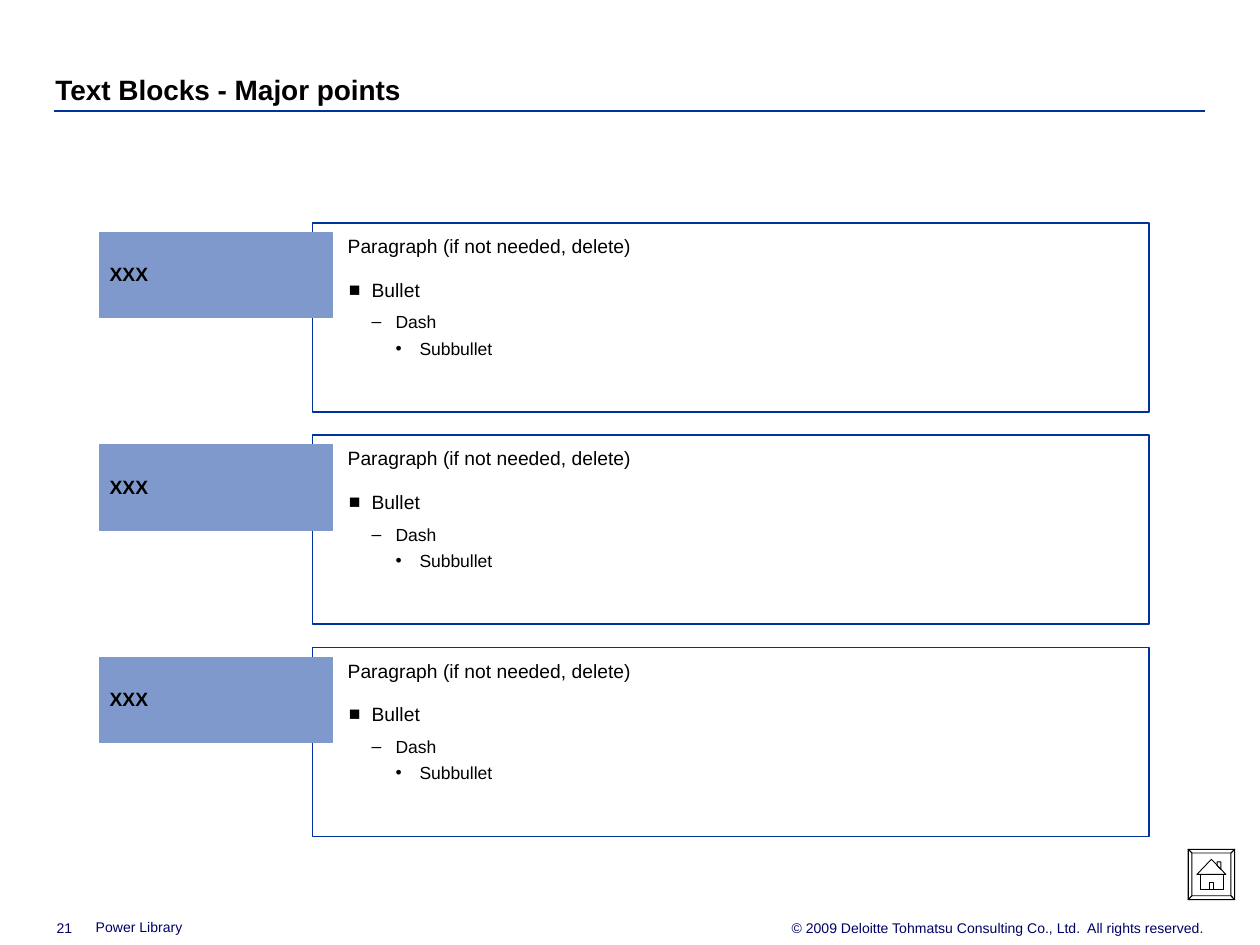
from dataclasses import dataclass

from lxml import etree
from pptx import Presentation
from pptx.dml.color import RGBColor
from pptx.enum.shapes import MSO_CONNECTOR, MSO_SHAPE
from pptx.enum.text import MSO_ANCHOR, MSO_AUTO_SIZE, PP_ALIGN
from pptx.oxml.ns import qn
from pptx.util import Inches, Pt

LEFT, RIGHT = PP_ALIGN.LEFT, PP_ALIGN.RIGHT
TOP, MIDDLE, BOTTOM = MSO_ANCHOR.TOP, MSO_ANCHOR.MIDDLE, MSO_ANCHOR.BOTTOM
RECTANGLE, STRAIGHT = MSO_SHAPE.RECTANGLE, MSO_CONNECTOR.STRAIGHT
FIXED = MSO_AUTO_SIZE.NONE


@dataclass(frozen=True)
class Theme:
    font: str = "Arial"
    ink: str = "000000"
    paper: str = "FFFFFF"
    rule: str = "003399"
    label: str = "8099CC"
    footer: str = "000066"
    title_size: float = 16
    body_size: float = 11
    detail_size: float = 10
    footer_size: float = 8


@dataclass(frozen=True)
class Level:
    text: str
    size: float
    before: float = 0
    bullet: str = ""
    margin: float = 0
    hanging: float = 0


class SlideBuilder:
    """Draws styled elements on one slide, placed on a grid of 100 columns and 75 rows."""

    def __init__(self, deck, theme):
        self.theme = theme
        self.column = deck.slide_width / 100
        self.row = deck.slide_height / 75
        self.slide = deck.slides.add_slide(deck.slide_layouts[5])
        self.shapes = self.slide.shapes

    def place(self, left, top, width, height):
        return (round(left * self.column), round(top * self.row),
                round(width * self.column), round(height * self.row))

    def frame(self, shape, anchor, insets=(0, 0, 0, 0)):
        frame = shape.text_frame
        frame.word_wrap = True
        frame.auto_size = FIXED
        frame.vertical_anchor = anchor
        (frame.margin_left, frame.margin_top,
         frame.margin_right, frame.margin_bottom) = map(Inches, insets)
        return frame

    def add_text(self, paragraph, text, size, color, bold=False, align=LEFT, spacing=1.0, before=0):
        paragraph.alignment = align
        paragraph.line_spacing = spacing
        paragraph.space_before = Pt(before)
        run = paragraph.add_run()
        run.text = text
        run.font.name = self.theme.font
        run.font.size = Pt(size)
        run.font.bold = bold
        run.font.color.rgb = RGBColor.from_string(color)

    def bullet(self, paragraph, level):
        properties = paragraph._p.get_or_add_pPr()
        properties.set("marL", str(Inches(level.margin)))
        properties.set("indent", str(-Inches(level.hanging)))
        color = etree.SubElement(properties, qn("a:buClr"))
        etree.SubElement(color, qn("a:srgbClr"), val=self.theme.ink)
        etree.SubElement(properties, qn("a:buFont"), typeface=self.theme.font)
        etree.SubElement(properties, qn("a:buChar"), char=level.bullet)

    def title(self, text, *cell):
        title = self.shapes.title
        title.left, title.top, title.width, title.height = self.place(*cell)
        self.add_text(self.frame(title, BOTTOM).paragraphs[0], text, self.theme.title_size,
                      self.theme.ink, bold=True, spacing=1.06)

    def rule(self, left, right, row):
        x, y, width, _ = self.place(left, row, right - left, 0)
        rule = self.shapes.add_connector(STRAIGHT, x, y, x + width, y)
        rule.line.color.rgb = RGBColor.from_string(self.theme.rule)
        rule.line.width = Pt(1.5)
        etree.SubElement(rule._element.spPr, qn("a:effectLst"))

    def footer(self, text, *cell, align=LEFT, anchor=BOTTOM):
        footer = self.shapes.add_textbox(*self.place(*cell))
        self.add_text(self.frame(footer, anchor).paragraphs[0], text, self.theme.footer_size,
                      self.theme.footer, align=align)

    def rectangle(self, cell, fill, line):
        rectangle = self.shapes.add_shape(RECTANGLE, *self.place(*cell))
        rectangle.shadow.inherit = False
        rectangle.fill.solid()
        rectangle.fill.fore_color.rgb = RGBColor.from_string(fill)
        rectangle.line.color.rgb = RGBColor.from_string(line)
        rectangle.line.width = Pt(1)
        return rectangle

    def details(self, levels, *cell):
        panel = self.rectangle(cell, self.theme.paper, self.theme.rule)
        frame = self.frame(panel, TOP, (0.28, 0.08, 0.08, 0.08))
        for depth, level in enumerate(levels):
            paragraph = frame.add_paragraph() if depth else frame.paragraphs[0]
            paragraph.level = depth
            if level.bullet:
                self.bullet(paragraph, level)
            self.add_text(paragraph, level.text, level.size, self.theme.ink,
                          spacing=1.06, before=level.before)

    def label(self, text, *cell):
        tab = self.rectangle(cell, self.theme.label, self.theme.label)
        frame = self.frame(tab, MIDDLE, (0.08, 0, 0, 0))
        self.add_text(frame.paragraphs[0], text, self.theme.body_size, self.theme.ink,
                      bold=True, spacing=0.95)

    def outline(self, contours):
        placed = [[self.place(x, y, 0, 0)[:2] for x, y in contour] for contour in contours]
        builder = self.shapes.build_freeform(*placed[0][0])
        for index, (start, *rest) in enumerate(placed):
            if index:
                builder.move_to(*start)
            builder.add_line_segments(rest, close=True)
        outline = builder.convert_to_shape()
        outline.shadow.inherit = False
        outline.fill.background()
        outline.line.color.rgb = RGBColor.from_string(self.theme.ink)
        outline.line.width = Pt(0.5)


def corners(left, top, right, bottom):
    return [(left, top), (right, top), (right, bottom), (left, bottom)]


def home_button():
    outer = corners(94.3, 67.4, 98, 71.4)
    inner = corners(94.6, 67.7, 97.7, 71.1)
    bevels = [[outer[i], outer[(i + 1) % 4], inner[(i + 1) % 4], inner[i]] for i in range(4)]
    roof = [(96.15, 68.2), (97.3, 69.4), (95, 69.4)]
    chimney = [(96.6, 68.7), (96.6, 68.4), (96.9, 68.4), (96.9, 69)]
    walls = corners(95.3, 69.4, 97.1, 70.6)
    door = corners(96, 70, 96.3, 70.6)
    return [outer, *bevels, roof, chimney, walls, door]


def main():
    deck = Presentation()
    deck.slide_width, deck.slide_height = Inches(10), Inches(7.5)
    theme = Theme()
    page = SlideBuilder(deck, theme)

    page.rule(4.3, 95.6, 8.8)
    page.footer("© 2009 Deloitte Tohmatsu Consulting Co., Ltd.  All rights reserved.",
                57.6, 73, 38, 1.3, align=RIGHT, anchor=TOP)
    page.outline(home_button())
    page.footer("Power Library", 7.6, 72.9, 44.2, 1.3)
    page.footer("21", 4.5, 73, 3.2, 1.3)
    page.title("Text Blocks - Major points", 4.4, 5.6, 91.3, 2.8)

    levels = [
        Level("Paragraph (if not needed, delete)", theme.body_size),
        Level("Bullet", theme.body_size, 11, "■", 0.19, 0.18),
        Level("Dash", theme.detail_size, 5, "–", 0.38, 0.19),
        Level("Subbullet", theme.detail_size, 2.5, "•", 0.57, 0.19),
    ]
    first_row, pitch = 17.7, 16.85
    for index, heading in enumerate(["XXX"] * 3):
        row = first_row + index * pitch
        page.details(levels, 24.8, row, 66.4, 15)
        page.label(heading, 7.9, row + 0.8, 18.5, 6.7)

    deck.save("out.pptx")


if __name__ == "__main__":
    main()
